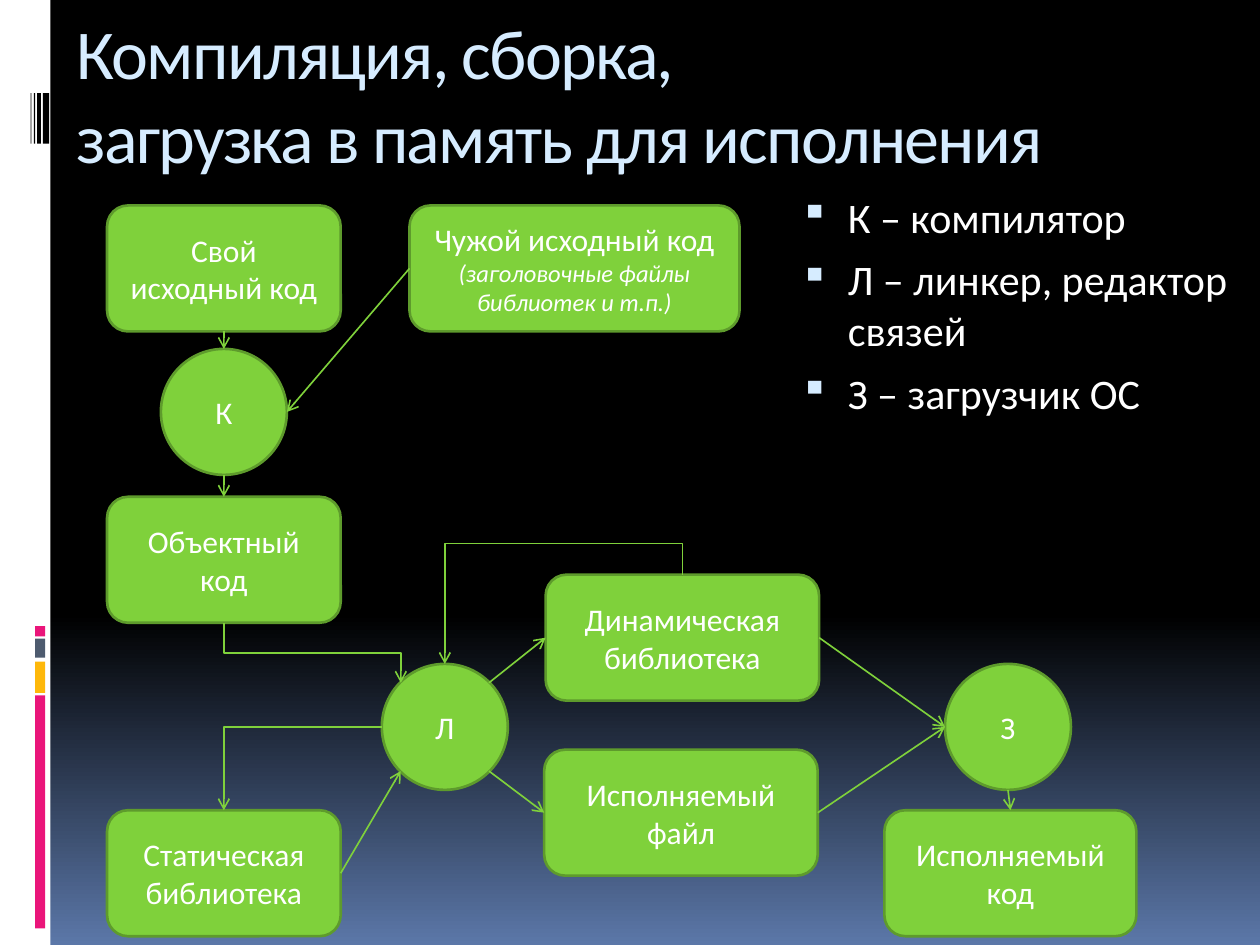
from dataclasses import dataclass

from lxml import etree
from pptx import Presentation
from pptx.dml.color import RGBColor
from pptx.enum.shapes import MSO_CONNECTOR, MSO_SHAPE
from pptx.enum.text import MSO_ANCHOR, PP_ALIGN
from pptx.oxml.ns import qn
from pptx.util import Pt

RECT, ROUNDED, CIRCLE = MSO_SHAPE.RECTANGLE, MSO_SHAPE.ROUNDED_RECTANGLE, MSO_SHAPE.OVAL
STRAIGHT, ELBOW = MSO_CONNECTOR.STRAIGHT, MSO_CONNECTOR.ELBOW
CENTER, MIDDLE, TOP = PP_ALIGN.CENTER, MSO_ANCHOR.MIDDLE, MSO_ANCHOR.TOP


@dataclass(frozen=True)
class Theme:
    font: str = "Calibri"
    white: str = "FFFFFF"
    black: str = "000000"
    dusk: str = "5B77A8"
    pale: str = "D6ECFF"
    pink: str = "EA157A"
    amber: str = "FEB80A"
    slate: str = "4E5B6F"
    green: str = "7FD13B"
    dark_green: str = "5E9B2C"
    title_size: int = 40
    legend_size: int = 24
    node_size: int = 18
    note_size: int = 14


THEME = Theme()

# Connection points as fractions of a node's width and height
NORTH, SOUTH, WEST, EAST = (0.5, 0), (0.5, 1), (0, 0.5), (1, 0.5)
NEAR, FAR = 0.15, 0.85
NW, NE, SW, SE = (NEAR, NEAR), (FAR, NEAR), (NEAR, FAR), (FAR, FAR)


def rgb(color):
    return RGBColor.from_string(color)


def style_font(paragraph, size, color):
    font = paragraph.font
    font.name, font.size = THEME.font, Pt(size)
    font.color.rgb = rgb(color)


def add_filled(slide, kind, box, fill):
    shape = slide.shapes.add_shape(kind, *map(Pt, box))
    shape.shadow.inherit = False
    shape.fill.solid()
    shape.fill.fore_color.rgb = rgb(fill)
    shape.line.fill.background()
    return shape


def add_text_frame(slide, box):
    frame = slide.shapes.add_textbox(*map(Pt, box)).text_frame
    frame.word_wrap = True
    frame.vertical_anchor = TOP
    return frame


def paint_background(slide):
    fill = slide.background.fill
    fill.gradient()
    fill.gradient_angle = 270
    for stop, position, color in zip(fill.gradient_stops, (0.65, 1), (THEME.black, THEME.dusk)):
        stop.position = position
        stop.color.rgb = rgb(color)


def add_sidebar(slide, box):
    left, top, width, height = box
    add_filled(slide, RECT, box, THEME.white)
    # Coloured blocks: offset from the top, height
    for offset, block_height, color in ((397.4, 133.2, THEME.pink), (378, 18, THEME.amber),
                                        (365, 10.8, THEME.slate), (357.8, 5.8, THEME.pink)):
        add_filled(slide, RECT, (left + 20, top + offset, 5.8, block_height), color)
    # Black bars: offset from the left, width
    for offset, bar_width in ((24.5, 3.6), (21.2, 2.2), (19.4, 0.8), (17.5, 0.5)):
        add_filled(slide, RECT, (left + offset, top + 53.3, bar_width, 28.8), THEME.black)


def add_title(slide, box):
    frame = add_text_frame(slide, box)
    frame.margin_top = Pt(6)
    heading = frame.paragraphs[0]
    heading.text = "Компиляция, сборка,\vзагрузка в память для исполнения"
    style_font(heading, THEME.title_size, THEME.pale)
    for run in heading.runs:
        run.font._element.set("spc", "-100")


def add_legend(slide, box):
    frame = add_text_frame(slide, box)
    entries = ("К – компилятор", "Л – линкер, редактор связей", "З – загрузчик ОС")
    for index, entry in enumerate(entries):
        item = frame.add_paragraph() if index else frame.paragraphs[0]
        item.text = entry
        if index:
            item.space_before = Pt(7)
        props = item._p.get_or_add_pPr()
        props.set("marL", str(Pt(32.4)))
        props.set("indent", str(-Pt(27.4)))
        bullet_color = etree.SubElement(props, qn("a:buClr"))
        etree.SubElement(bullet_color, qn("a:srgbClr"), val=THEME.pale)
        etree.SubElement(props, qn("a:buSzPct"), val="95000")
        etree.SubElement(props, qn("a:buChar"), char="▪")
        style_font(item, THEME.legend_size, THEME.white)


def add_node(slide, kind, box, label, note=None):
    node = add_filled(slide, kind, box, THEME.green)
    node.line.color.rgb = rgb(THEME.dark_green)
    node.line.width = Pt(1.5)
    frame = node.text_frame
    frame.word_wrap = True
    frame.vertical_anchor = MIDDLE
    caption = frame.paragraphs[0]
    caption.text = label
    caption.alignment = CENTER
    style_font(caption, THEME.node_size, THEME.white)
    if note:
        remark = frame.add_paragraph()
        remark.text = note
        remark.alignment = CENTER
        style_font(remark, THEME.note_size, THEME.white)
        remark.font.italic = True


def add_arrow(slide, start, end, kind=STRAIGHT):
    arrow = slide.shapes.add_connector(kind, *map(Pt, (*start, *end)))
    arrow.line.color.rgb = rgb(THEME.green)
    arrow.line.width = Pt(0.94)
    etree.SubElement(arrow.line._get_or_add_ln(), qn("a:tailEnd"), type="arrow")
    etree.SubElement(arrow._element.spPr, qn("a:effectLst"))
    return arrow


def add_corner_arrow(slide, start, end):
    """Run sideways, then down."""
    arrow = add_arrow(slide, start, end, ELBOW)
    arrow._element.spPr.find(qn("a:prstGeom")).set("prst", "bentConnector2")


def add_step_arrow(slide, start, end, bend):
    """Run vertically, sideways, then down; bend is the share of the drop."""
    arrow = add_arrow(slide, start, end, ELBOW)
    (x1, y1), (x2, y2) = start, end
    run, drop = abs(x2 - x1), y2 - y1
    arrow.left, arrow.top = Pt((x1 + x2 - drop) / 2), Pt((y1 + y2 - run) / 2)
    arrow.width, arrow.height = Pt(drop), Pt(run)
    arrow.rotation = 270
    xfrm = arrow._element.spPr.find(qn("a:xfrm"))
    xfrm.set("flipH", "1")
    xfrm.set("flipV", "1" if x2 < x1 else "0")
    geometry = arrow._element.spPr.find(qn("a:prstGeom"))
    guides = geometry.find(qn("a:avLst"))
    if guides is None:
        guides = etree.SubElement(geometry, qn("a:avLst"))
    etree.SubElement(guides, qn("a:gd"), name="adj1", fmla=f"val {round(bend * 100000)}")


def add_build_flow(slide, box):
    left, top = box[:2]
    size = 72  # height of every node and diameter of every circle
    code_w, result_w = 133.5, 156.3
    compiler_x = (code_w - size) / 2
    tool_y, last_y = 262, box[3] - size
    nodes = {
        "own": (ROUNDED, 0, 0, code_w, "Свой исходный код"),
        "foreign": (ROUNDED, 172.8, 0, 188.6, "Чужой исходный код",
                    "(заголовочные файлы библиотек и т.п.)"),
        "compiler": (CIRCLE, compiler_x, 82, size, "К"),
        "object": (ROUNDED, 0, 166.5, code_w, "Объектный код"),
        "static": (ROUNDED, 0, last_y, code_w, "Статическая библиотека"),
        "linker": (CIRCLE, 157, tool_y, size, "Л"),
        "dynamic": (ROUNDED, 250.6, 211, result_w, "Динамическая библиотека"),
        "executable": (ROUNDED, 249.8, 311, result_w, "Исполняемый файл"),
        "loader": (CIRCLE, 478.8, tool_y, size, "З"),
        "running": (ROUNDED, 444.2, last_y, 144, "Исполняемый код"),
    }
    for kind, x, y, width, *texts in nodes.values():
        add_node(slide, kind, (left + x, top + y, width, size), *texts)

    def point(name, side):
        _, x, y, width, *_ = nodes[name]
        return left + x + width * side[0], top + y + size * side[1]

    # Straight arrows
    for source, exit_side, target, entry_side in (
            ("own", SOUTH, "compiler", NORTH), ("foreign", WEST, "compiler", EAST),
            ("compiler", SOUTH, "object", NORTH), ("static", EAST, "linker", SW),
            ("linker", NE, "dynamic", WEST), ("linker", SE, "executable", WEST),
            ("dynamic", EAST, "loader", WEST), ("executable", EAST, "loader", WEST),
            ("loader", SOUTH, "running", NORTH)):
        add_arrow(slide, point(source, exit_side), point(target, entry_side))

    # Bent arrows
    add_corner_arrow(slide, point("linker", WEST), point("static", NORTH))
    add_step_arrow(slide, point("object", SOUTH), point("linker", NW), 0.5)
    add_step_arrow(slide, point("dynamic", NORTH), point("linker", NORTH), -0.35)


def main():
    deck = Presentation()
    deck.slide_width, deck.slide_height = Pt(720), Pt(540)
    slide = deck.slides.add_slide(deck.slide_layouts[6])
    paint_background(slide)
    add_sidebar(slide, (0, 0, 28.8, 540))
    add_title(slide, (36.7, -0.7, 674.6, 72))
    add_legend(slide, (445, 105.8, 266.4, 192.2))
    add_build_flow(slide, (61.2, 117.4, 588.2, 417.6))
    deck.save("out.pptx")


if __name__ == "__main__":
    main()
